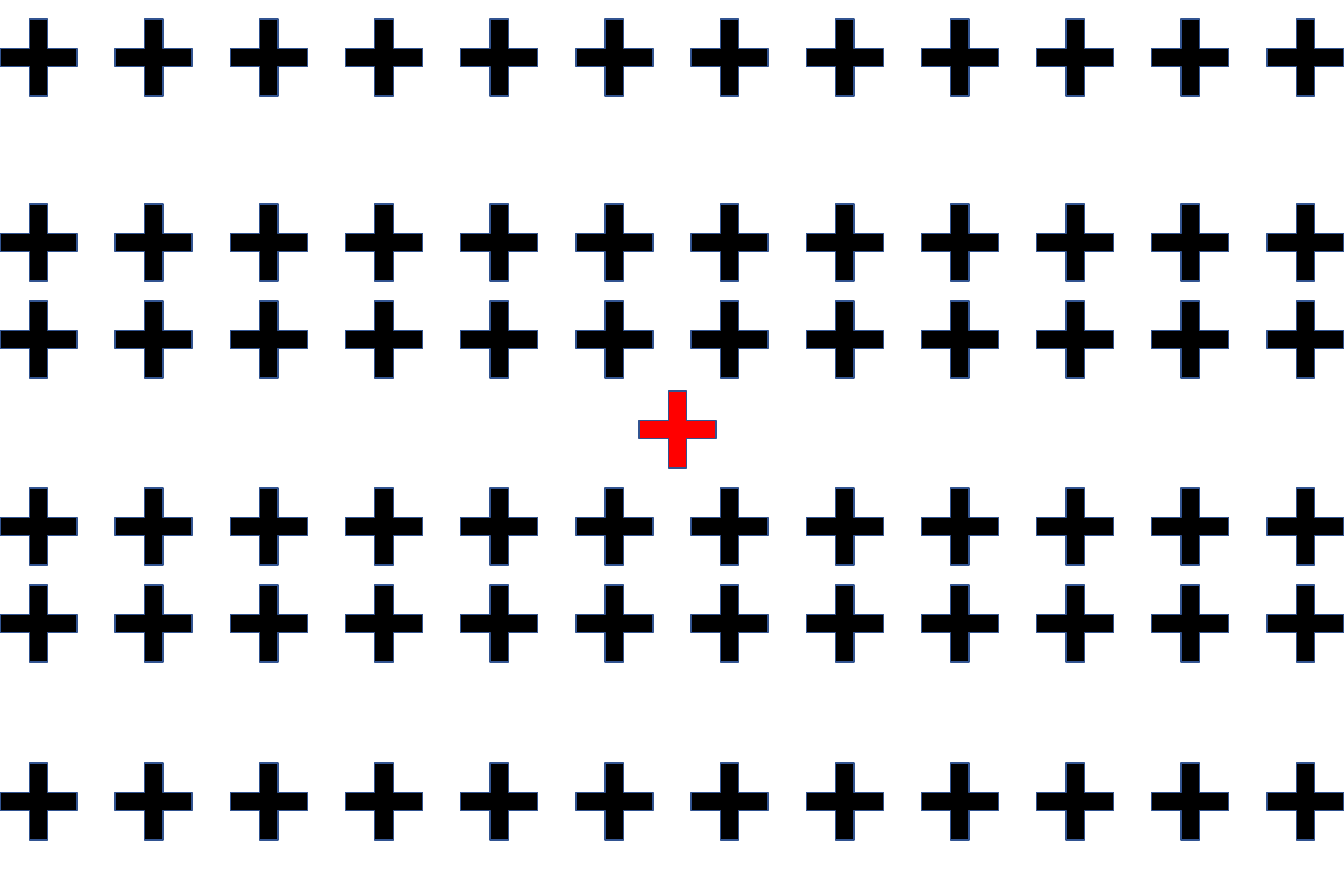
"""Build a slide with six rows of black crosses around one red fixation cross."""
import pptx
import pptx.dml.color
import pptx.enum.shapes
import pptx.util

EMU_PER_PX = 914400 / 97.5
SLIDE_WIDTH, SLIDE_HEIGHT = 1344, 883
CROSS_SIZE = 77
CROSSES_PER_ROW = 12
ROW_TOPS = (19, 204, 301, 488, 585, 763)
FIXATION_LEFT, FIXATION_TOP = 639, 391
ARM_INSET = 0.38

BLACK = pptx.dml.color.RGBColor(0x00, 0x00, 0x00)
RED = pptx.dml.color.RGBColor(0xFF, 0x00, 0x00)
OUTLINE_BLUE = pptx.dml.color.RGBColor(0x32, 0x54, 0x91)


def px(length):
    """Convert pixels to EMU."""
    return pptx.util.Emu(round(length * EMU_PER_PX))


def add_cross(shapes, left, top, color):
    """Add one outlined cross."""
    cross = shapes.add_shape(
        pptx.enum.shapes.MSO_SHAPE.CROSS,
        px(left), px(top), px(CROSS_SIZE), px(CROSS_SIZE))
    cross.adjustments[0] = ARM_INSET
    cross.shadow.inherit = False
    cross.fill.solid()
    cross.fill.fore_color.rgb = color
    cross.line.color.rgb = OUTLINE_BLUE
    cross.line.width = pptx.util.Pt(1)


def add_cross_row(slide, top):
    """Add a grouped row of black crosses spread over the slide width."""
    row = slide.shapes.add_group_shape()
    pitch = (SLIDE_WIDTH - CROSS_SIZE) / (CROSSES_PER_ROW - 1)
    for column in range(CROSSES_PER_ROW):
        add_cross(row.shapes, column * pitch, top, BLACK)


def main():
    """Create the slide and save it."""
    presentation = pptx.Presentation()
    presentation.slide_width = px(SLIDE_WIDTH)
    presentation.slide_height = px(SLIDE_HEIGHT)
    slide = presentation.slides.add_slide(presentation.slide_layouts[6])
    for top in ROW_TOPS:
        add_cross_row(slide, top)
    add_cross(slide.shapes, FIXATION_LEFT, FIXATION_TOP, RED)
    presentation.save("out.pptx")


if __name__ == "__main__":
    main()
